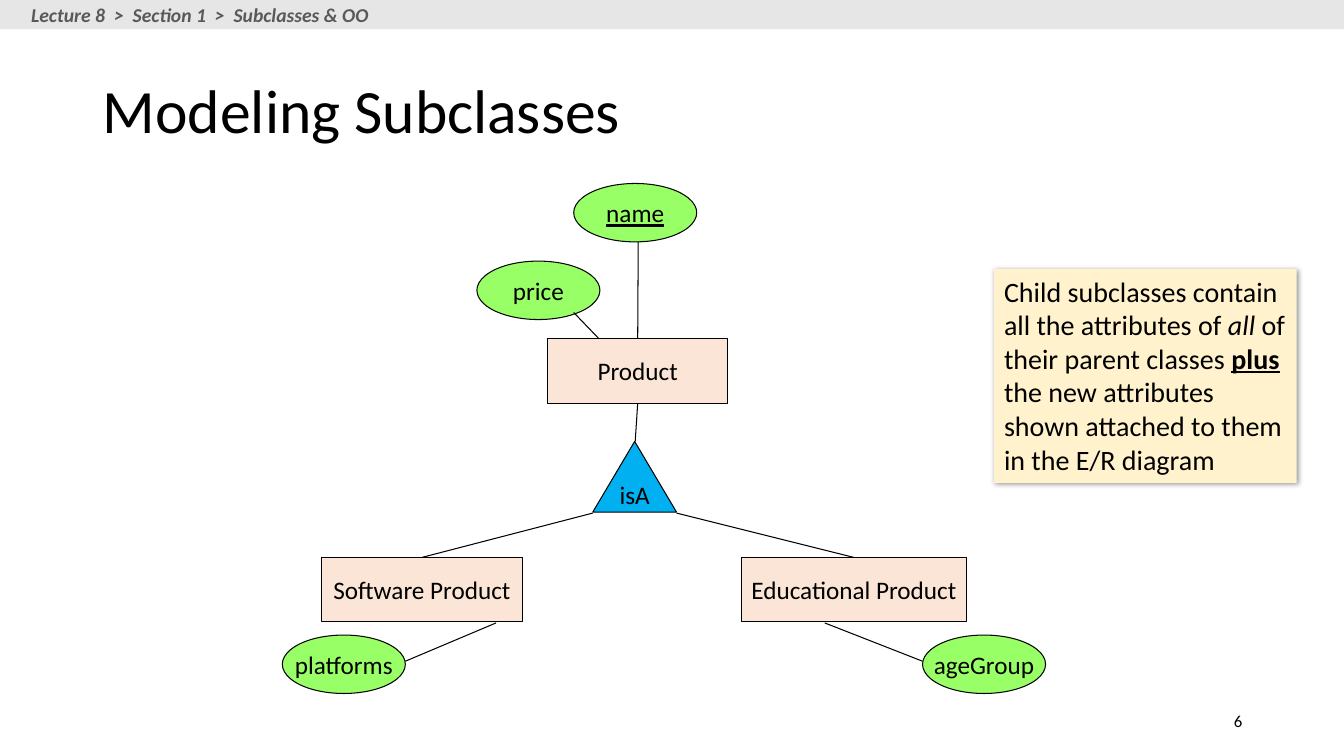
from lxml import etree
from pptx import Presentation
from pptx.dml.color import RGBColor
from pptx.enum.shapes import MSO_CONNECTOR, MSO_SHAPE
from pptx.enum.text import MSO_ANCHOR, MSO_AUTO_SIZE, PP_ALIGN
from pptx.oxml import parse_xml
from pptx.oxml.ns import nsdecls, qn
from pptx.util import Inches, Pt

COLORS = {
    "text": "000000",
    "line": "000000",
    "entity": "FBE5D6",
    "attribute": "99FF66",
    "isa": "00B0F0",
    "note": "FFF2CC",
    "bar": "E7E6E6",
    "crumbs": "595959",
}
FONT = "Calibri"
TOP, BOTTOM = 0, 2


def rgb(name):
    return RGBColor.from_string(COLORS[name])


def format_run(r, size, color="text", bold=False, italic=False, underline=False):
    f = r.font
    f.name, f.size = FONT, Pt(size)
    f.bold, f.italic, f.underline = bold, italic, underline
    f.color.rgb = rgb(color)


def add_filled(slide, kind, x, y, w, h, fill):
    """Add a preset shape with a plain fill, no line and no shadow."""
    sp = slide.shapes.add_shape(kind, Inches(x), Inches(y), Inches(w), Inches(h))
    sp.shadow.inherit = False
    sp.fill.solid()
    sp.fill.fore_color.rgb = rgb(fill)
    sp.line.fill.background()
    return sp


def add_node(slide, kind, text, x, y, w, h, fill, underline=False):
    """Add an outlined E/R diagram shape with a centred label."""
    sp = add_filled(slide, kind, x, y, w, h, fill)
    sp.line.color.rgb = rgb("line")
    sp.line.width = Pt(0.75)
    tf = sp.text_frame
    tf.text = text
    tf.word_wrap = False
    tf.vertical_anchor = MSO_ANCHOR.MIDDLE
    p = tf.paragraphs[0]
    p.alignment = PP_ALIGN.CENTER
    format_run(p.runs[0], 18, underline=underline)
    return sp


def add_entity(slide, text, x, y, w):
    return add_node(slide, MSO_SHAPE.RECTANGLE, text, x, y, w, 0.64, "entity")


def add_attribute(slide, text, x, y, key=False):
    return add_node(slide, MSO_SHAPE.OVAL, text, x, y, 1.22, 0.58, "attribute", key)


def add_link(slide, start, end, entity=None, side=TOP):
    """Draw a line; when an entity is given, join the start to its side."""
    points = [Inches(v) for v in (*start, *end)]
    link = slide.shapes.add_connector(MSO_CONNECTOR.STRAIGHT, *points)
    link.line.color.rgb = rgb("line")
    link.line.width = Pt(0.75)
    etree.SubElement(link._element.spPr, qn("a:effectLst"))
    if entity is not None:
        link.begin_connect(entity, side)


def add_text(slide, text, x, y, w, h, size, color="text", **style):
    tb = slide.shapes.add_textbox(Inches(x), Inches(y), Inches(w), Inches(h))
    tf = tb.text_frame
    tf.text = text
    format_run(tf.paragraphs[0].runs[0], size, color, **style)
    return tf


def add_title(slide, text):
    title = slide.shapes.title
    title.left, title.top = Inches(0.92), Inches(0.4)
    title.width, title.height = Inches(11.5), Inches(1.45)
    tf = title.text_frame
    tf.text = text
    tf.auto_size = MSO_AUTO_SIZE.NONE
    tf.vertical_anchor = MSO_ANCHOR.MIDDLE
    p = tf.paragraphs[0]
    p.alignment = PP_ALIGN.LEFT
    p.line_spacing = 0.9
    format_run(p.runs[0], 44)


def add_header(slide):
    add_filled(slide, MSO_SHAPE.RECTANGLE, 0, 0, 13.33, 0.29, "bar")
    tf = add_text(slide, "Lecture 8  >  Section 1  >  Subclasses & OO",
                  0.21, -0.02, 3.59, 0.34, 14, "crumbs", bold=True, italic=True)
    tf.word_wrap = False


def add_soft_shadow(sp):
    effects = sp._element.spPr.find(qn("a:effectLst"))
    effects.append(parse_xml(
        f'<a:outerShdw {nsdecls("a")} blurRad="{Pt(4)}" dist="{Pt(1)}" dir="2700000" '
        'algn="tl" rotWithShape="0"><a:srgbClr val="000000">'
        '<a:alpha val="40000"/></a:srgbClr></a:outerShdw>'))


def add_note(slide):
    sp = add_filled(slide, MSO_SHAPE.RECTANGLE, 9.86, 2.67, 3, 2.12, "note")
    add_soft_shadow(sp)
    tf = sp.text_frame
    tf.word_wrap = True
    tf.vertical_anchor = MSO_ANCHOR.TOP
    p = tf.paragraphs[0]
    p.alignment = PP_ALIGN.LEFT
    for text, style in (
        ("Child subclasses contain all the attributes of ", {}),
        ("all ", {"italic": True}),
        ("of their parent classes ", {}),
        ("plus", {"bold": True, "underline": True}),
        (" the new attributes shown attached to them in the E/R diagram", {}),
    ):
        r = p.add_run()
        r.text = text
        format_run(r, 20, **style)


def add_diagram(slide):
    product = add_entity(slide, "Product", 5.43, 3.36, 1.79)
    software = add_entity(slide, "Software Product", 3.19, 5.53, 1.99)
    educational = add_entity(slide, "Educational Product", 7.35, 5.53, 2.24)

    add_attribute(slide, "name", 5.69, 1.82, key=True)
    add_attribute(slide, "price", 4.73, 2.59)
    add_attribute(slide, "platforms", 2.8, 6.3)
    add_attribute(slide, "ageGroup", 9.15, 6.3)
    add_node(slide, MSO_SHAPE.ISOSCELES_TRIANGLE, "isA", 5.88, 4.38, 0.83, 0.7, "isa")

    add_link(slide, (6.33, 3.36), (6.33, 2.4), product, TOP)
    add_link(slide, (5.94, 3.36), (5.69, 3.1))
    add_link(slide, (4.92, 6.18), (4.02, 6.56))
    add_link(slide, (8.18, 6.18), (9.15, 6.56))
    add_link(slide, (6.33, 4), (6.3, 4.38), product, BOTTOM)
    add_link(slide, (4.21, 5.53), (5.88, 5.09), software, TOP)
    add_link(slide, (8.47, 5.53), (6.71, 5.09), educational, TOP)


def main():
    prs = Presentation()
    prs.slide_width, prs.slide_height = Inches(13.33), Inches(7.5)
    slide = prs.slides.add_slide(prs.slide_layouts[5])
    add_title(slide, "Modeling Subclasses")
    add_header(slide)
    add_diagram(slide)
    add_note(slide)
    number = add_text(slide, "6", 9.42, 6.95, 3, 0.4, 12)
    number.word_wrap = True
    number.vertical_anchor = MSO_ANCHOR.MIDDLE
    number.paragraphs[0].alignment = PP_ALIGN.RIGHT
    prs.save("out.pptx")


if __name__ == "__main__":
    main()
